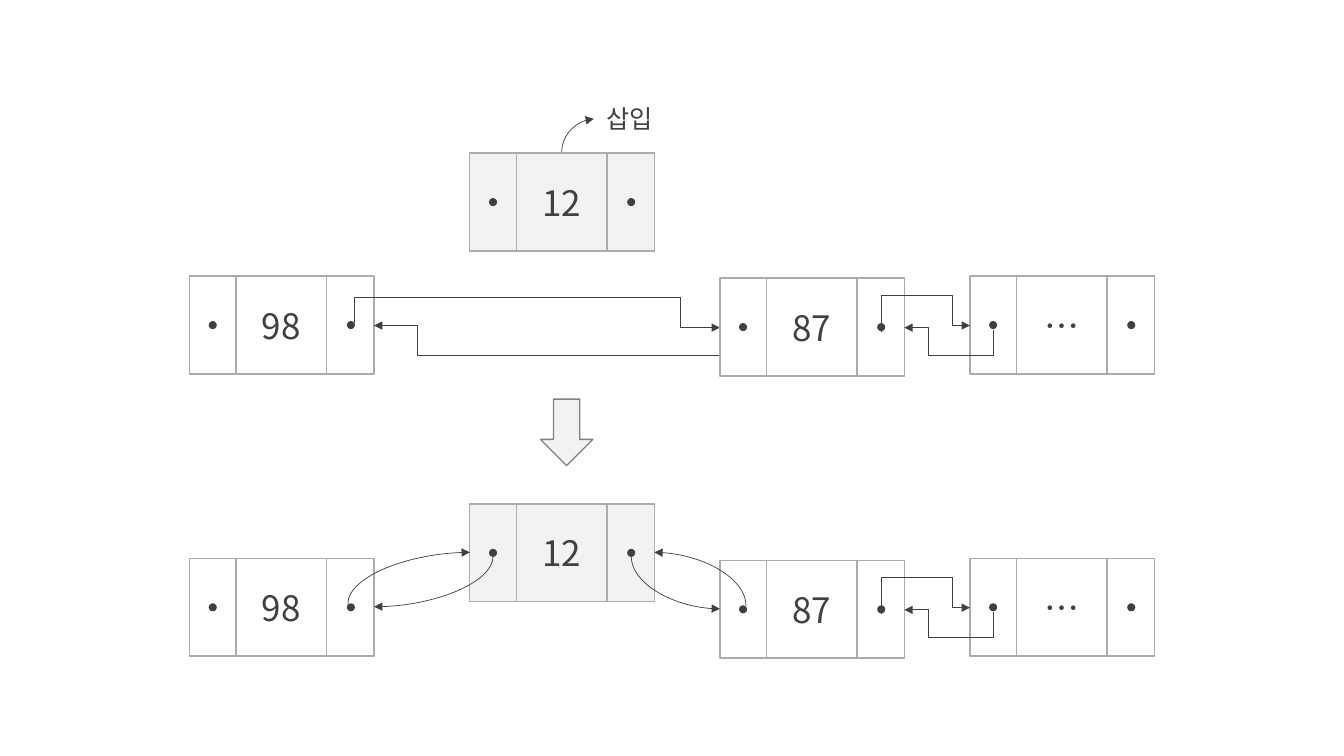
from dataclasses import dataclass
from typing import Optional

from pptx import Presentation
from pptx.dml.color import RGBColor
from pptx.enum.shapes import MSO_CONNECTOR as Connector, MSO_SHAPE as Preset
from pptx.enum.text import MSO_ANCHOR as Anchor, MSO_AUTO_SIZE as AutoSize, PP_ALIGN as Align
from pptx.oxml.ns import qn
from pptx.oxml.xmlchemy import OxmlElement
from pptx.util import Inches, Pt

COLORS = {"ink": "404040", "border": "AFABAB", "plain": "FFFFFF",
          "inserted": "F2F2F2", "arrow_edge": "808080"}
FONT = "Noto Sans CJK KR"

# Grid: every cell is a tenth of an inch
CELL = 0.1
NODE_WIDTH, NODE_HEIGHT = 18.3, 9.7
VALUE_LEFT, VALUE_WIDTH = 4.6, 9
DOT_SIZE, DOT_TOP, DOT_LEFTS = 0.8, 4.45, (15.6, 1.9)
AFTER_SHIFT = 28  # rows from the list before to the list after insertion


@dataclass(frozen=True)
class Node:
    value: str
    column: float
    row: float
    fill: str = "plain"


@dataclass(frozen=True)
class Wire:
    """Leaves vertically, arrives horizontally; lane and turn make it bent."""
    start: tuple[float, float]
    end: tuple[float, float]
    lane: Optional[float] = None
    turn: Optional[float] = None


def grid(cells: float) -> int:
    return Inches(cells * CELL)


def color(name: str) -> RGBColor:
    return RGBColor.from_string(COLORS[name])


def write(shape, text: str, size: float) -> None:
    paragraph = shape.text_frame.paragraphs[0]
    paragraph.text = text
    paragraph.alignment = Align.CENTER
    font = paragraph.font
    font.size, font.name = Pt(size), FONT
    font.color.rgb = color("ink")
    east_asian = OxmlElement("a:ea")
    east_asian.set("typeface", FONT)
    font._element.append(east_asian) if hasattr(font, "_element") else font._rPr.append(east_asian)


def add_preset(shapes, preset, box: tuple[float, ...], fill: str, line: Optional[str]):
    shape = shapes.add_shape(preset, *map(grid, box))
    shape.shadow.inherit = False
    shape.fill.solid()
    shape.fill.fore_color.rgb = color(fill)
    if line:
        shape.line.color.rgb = color(line)
        shape.line.width = Pt(1)
    else:
        shape.line.fill.background()
    return shape


def draw_node(slide, node: Node, shift: float = 0) -> None:
    shapes = slide.shapes.add_group_shape().shapes
    top = node.row + shift
    add_preset(shapes, Preset.RECTANGLE, (node.column, top, NODE_WIDTH, NODE_HEIGHT),
               node.fill, "border")
    value = add_preset(shapes, Preset.RECTANGLE,
                       (node.column + VALUE_LEFT, top, VALUE_WIDTH, NODE_HEIGHT),
                       node.fill, "border")
    value.text_frame.vertical_anchor = Anchor.MIDDLE
    write(value, node.value, 25)
    for left in DOT_LEFTS:
        add_preset(shapes, Preset.FLOWCHART_CONNECTOR,
                   (node.column + left, top + DOT_TOP, DOT_SIZE, DOT_SIZE), "ink", None)


def draw_wire(slide, wire: Wire, shift: float = 0) -> None:
    (x1, y1), (x2, y2) = wire.start, wire.end
    dx, dy = x2 - x1, y2 - y1
    middle_x, middle_y = (x1 + x2) / 2, (y1 + y2) / 2 + shift
    # A quarter turn makes the first leg vertical
    quarters, sign = (3, -1) if dx > 0 and dy > 0 else (1, 1)
    half_x, half_y = sign * dy / 2, -sign * dx / 2
    bent = wire.lane is not None
    connector = slide.shapes.add_connector(
        Connector.ELBOW if bent else Connector.CURVE,
        grid(middle_x - half_x), grid(middle_y - half_y),
        grid(middle_x + half_x), grid(middle_y + half_y))
    properties = connector._element.spPr
    properties.find(qn("a:xfrm")).set("rot", str(quarters * 90 * 60000))
    geometry = properties.find(qn("a:prstGeom"))
    geometry.set("prst", "bentConnector4" if bent else "curvedConnector2")
    if bent:
        shares = ((wire.lane - y1) / dy, (wire.turn - x1) / dx)
        for number, share in enumerate(shares, start=1):
            guide = OxmlElement("a:gd")
            guide.set("name", f"adj{number}")
            guide.set("fmla", f"val {round(share * 100000)}")
            geometry.find(qn("a:avLst")).append(guide)
    connector.line.color.rgb = color("ink")
    connector.line.width = Pt(0.5)
    arrowhead = OxmlElement("a:tailEnd")
    arrowhead.set("type", "triangle")
    properties.find(qn("a:ln")).append(arrowhead)
    properties.append(OxmlElement("a:effectLst"))


NODE_98 = Node("98", 18.8, 27.4)
NODE_87 = Node("87", 71.4, 27.6)
NODE_REST = Node("…", 96.2, 27.4)
NEW_NODE = Node("12", 46.6, 15.2, "inserted")
NEW_NODE_LINKED = Node("12", 46.6, 50, "inserted")

INSERT_WIRE = Wire((55.7, 15.2), (58.9, 11.8))
OLD_WIRES = (Wire((35.1, 32), (71.4, 32.5), 29.5, 67.5),
             Wire((74, 32.7), (37.1, 32.3), 35.2, 41.4))
REST_WIRES = (Wire((87.4, 32.9), (96.2, 32.3), 29.3, 94.5),
              Wire((98.5, 32.7), (89.7, 32.5), 35.2, 92.1))
NEW_WIRES = (Wire((34.5, 59.9), (46.6, 54.8)), Wire((48.9, 55.2), (37.1, 60.2)),
             Wire((62.6, 55.2), (71.4, 60.4)), Wire((74, 60.1), (64.9, 54.8)))


def main() -> None:
    presentation = Presentation()
    presentation.slide_width, presentation.slide_height = Inches(13.33), Inches(7.5)
    slide = presentation.slides.add_slide(presentation.slide_layouts[6])

    # Insertion label and the arrow between the two states
    label = slide.shapes.add_textbox(*map(grid, (58.9, 9.8, 7.1, 4)))
    label.text_frame.word_wrap = False
    label.text_frame.auto_size = AutoSize.SHAPE_TO_FIT_TEXT
    write(label, "삽입", 18)
    draw_wire(slide, INSERT_WIRE)
    add_preset(slide.shapes, Preset.DOWN_ARROW, (53.6, 39.6, 5.2, 6.6), "inserted", "arrow_edge")

    # List before insertion: the old wires pass behind node 87
    for node in (NODE_98, NEW_NODE):
        draw_node(slide, node)
    for wire in OLD_WIRES:
        draw_wire(slide, wire)
    for node in (NODE_87, NODE_REST):
        draw_node(slide, node)
    for wire in REST_WIRES:
        draw_wire(slide, wire)

    # List after insertion
    draw_node(slide, NODE_98, AFTER_SHIFT)
    draw_node(slide, NEW_NODE_LINKED)
    for node in (NODE_87, NODE_REST):
        draw_node(slide, node, AFTER_SHIFT)
    for wire in REST_WIRES:
        draw_wire(slide, wire, AFTER_SHIFT)
    for wire in NEW_WIRES:
        draw_wire(slide, wire)

    presentation.save("out.pptx")


if __name__ == "__main__":
    main()
